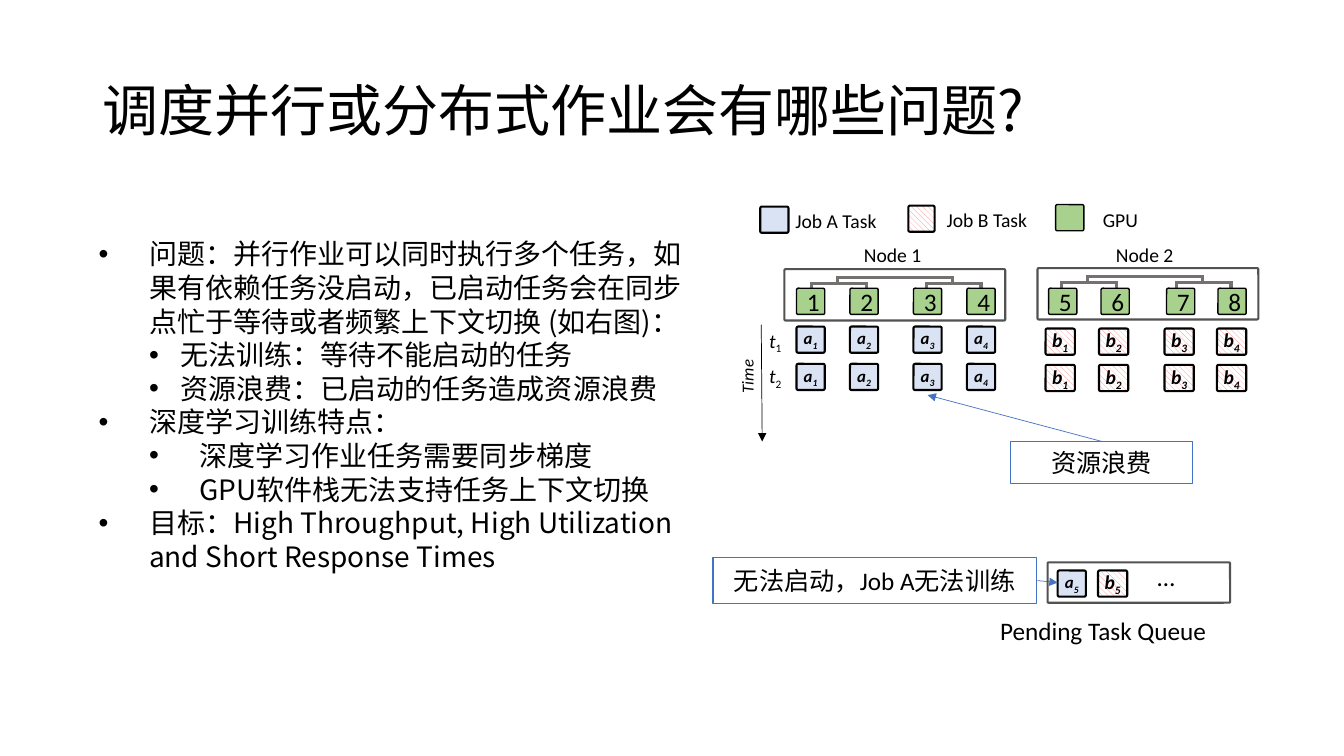
"""Build a slide on the problems of scheduling parallel or distributed jobs."""
from pptx import Presentation
from pptx import util as u
from pptx.dml.color import RGBColor
from pptx.enum import dml, shapes, text
from pptx.oxml import ns
from lxml import etree

PX = 9144
THEME = {
    "ink": "000000", "paper": "FFFFFF", "frame": "525252", "tree": "767171",
    "accent": "4472C4", "job_a": "DAE3F3", "job_b": "FF8181", "gpu": "A9D18E",
    "latin": "Calibri", "cjk": "Noto Sans CJK SC",
    "title": 40, "body": 20, "note": 18, "label": 14, "small": 12,
}
ROUND = shapes.MSO_SHAPE.ROUNDED_RECTANGLE
RECT = shapes.MSO_SHAPE.RECTANGLE

deck = Presentation()
deck.slide_width, deck.slide_height = 1333 * PX, 750 * PX
page = deck.slides.add_slide(deck.slide_layouts[6])


def add_box(place, paras=(), size="label", kind=None, fill=None, line=None, weight=1.5,
            corner=0.063, inset=10, font="latin", bold=False, italic=False, wrap=True):
    """Add a text box, or a preset shape when kind is given; paras hold (text, style) runs."""
    place = [value * PX for value in place]
    if kind is None:
        box = page.shapes.add_textbox(*place)
    else:
        box = page.shapes.add_shape(kind, *place)
        box.shadow.inherit = False
        box.line.color.rgb = RGBColor.from_string(THEME[line])
        box.line.width = u.Pt(weight)
        if kind == ROUND:
            box.adjustments[0] = corner
        if fill is None:
            box.fill.background()
        elif fill == "job_b":
            box.fill.patterned()
            box.fill.pattern = dml.MSO_PATTERN.WIDE_DOWNWARD_DIAGONAL
            box.fill.fore_color.rgb = RGBColor.from_string(THEME["job_b"])
            box.fill.back_color.rgb = RGBColor.from_string(THEME["paper"])
        else:
            box.fill.solid()
            box.fill.fore_color.rgb = RGBColor.from_string(THEME[fill])
    frame = box.text_frame
    frame.word_wrap = wrap
    frame.margin_left = frame.margin_right = inset * PX
    frame.vertical_anchor = text.MSO_ANCHOR.MIDDLE if kind else text.MSO_ANCHOR.TOP
    for index, runs in enumerate(paras):
        para = frame.paragraphs[0] if index == 0 else frame.add_paragraph()
        para.alignment = text.PP_ALIGN.CENTER if kind else text.PP_ALIGN.LEFT
        for words, style in runs:
            span = para.add_run()
            span.text = words
            span.font.size = u.Pt(THEME[size])
            span.font.bold = bold
            span.font.italic = italic and style != "upright_sub"
            span.font.color.rgb = RGBColor.from_string(THEME["ink"])
            span.font.name = THEME[font]
            props = span.font._element
            etree.SubElement(props, ns.qn("a:ea")).set("typeface", THEME["cjk"])
            if style:
                props.set("baseline", "-25000")
    return box


def add_line(start_x, start_y, end_x, end_y, color, weight, arrow=False):
    """Add a straight line, with an arrowhead at its end if asked."""
    wire = page.shapes.add_connector(shapes.MSO_CONNECTOR.STRAIGHT, start_x * PX, start_y * PX,
                                     end_x * PX, end_y * PX)
    wire.line.color.rgb = RGBColor.from_string(THEME[color])
    wire.line.width = u.Pt(weight)
    if arrow:
        etree.SubElement(wire.line._get_or_add_ln(), ns.qn("a:tailEnd")).set("type", "triangle")
    etree.SubElement(wire._element.spPr, ns.qn("a:effectLst"))


title = add_box((92, 40, 1150, 145), [[("调度并行或分布式作业会有哪些问题?", None)]], "title", font="cjk")
title.text_frame.vertical_anchor = text.MSO_ANCHOR.MIDDLE
title.text_frame.paragraphs[0].line_spacing = 0.9

points = [
    ("问题：并行作业可以同时执行多个任务，如果有依赖任务没启动，已启动任务会在同步点忙于等待或者频繁上下文切换 (如右图)：", 0, 50, 50),
    ("无法训练：等待不能启动的任务", 1, 81, 31),
    ("资源浪费：已启动的任务造成资源浪费", 1, 81, 31),
    ("深度学习训练特点：", 0, 50, 50),
    ("深度学习作业任务需要同步梯度", 1, 100, 50),
    ("GPU软件栈无法支持任务上下文切换", 1, 100, 50),
    ("目标：High Throughput, High Utilization and Short Response Times", 0, 50, 50),
]
body = add_box((88, 230, 618, 347), [[(words, None)] for words, *_ in points], "body", font="cjk")
for para, (_, level, left, hang) in zip(body.text_frame.paragraphs, points):
    para.level = level
    para.line_spacing = u.Pt(24)
    props = para._element.get_or_add_pPr()
    props.set("marL", str(left * PX))
    props.set("indent", str(-hang * PX))
    etree.SubElement(props, ns.qn("a:buFont")).set("typeface", "Arial")
    etree.SubElement(props, ns.qn("a:buChar")).set("char", "•")

legend = [
    ("Job A Task", (754, 205, 28, 26), "job_a", 1.5, (779, 202, 203, 34)),
    ("Job B Task", (901, 204, 26, 26), "job_b", 1.5, (929, 201, 118, 34)),
    ("GPU", (1047, 203, 28, 26), "gpu", 1, (1084, 201, 66, 34)),
]
for name, swatch, fill, weight, place in legend:
    add_box(swatch, kind=ROUND, fill=fill, line="ink", weight=weight)
    add_box(place, [[(name, None)]])

nodes = [
    ("Node 1", 847, 778, 267, 0, (790, 843, 906, 959)),
    ("Node 2", 1097, 1029, 266, 248, (1040, 1092, 1157, 1208)),
]
for number, (name, name_x, frame_x, top, shift, columns) in enumerate(nodes):
    add_box((name_x, 236, 78, 34), [[(name, None)]], wrap=False)
    add_box((frame_x, top, 219, 51), kind=ROUND, line="frame", corner=0.025)
    add_line(829 + shift, top + 8, 946 + shift, top + 8, "tree", 2.25)
    for stem, left in ((831, 804), (945, 918)):
        add_line(stem + shift, top + 7, stem + shift, top + 14, "tree", 2.25)
        add_line(left + shift, top + 14, left + 56 + shift, top + 14, "tree", 2.25)
        for leg in (left + 1, left + 55):
            add_line(leg + shift, top + 13, leg + shift, top + 21, "tree", 2.25)
    for slot, column in enumerate(columns, 1):
        add_box((column, 286, 28, 26), [[(str(number * 4 + slot), None)]], "note", ROUND,
                "gpu", "ink", 1)

tasks = [("a", slot, column, row) for row in (324, 361)
         for slot, column in enumerate((790, 843, 906, 959), 1)]
tasks += [("b", slot, column, row) for row in (326, 362)
          for slot, column in enumerate((1037, 1090, 1155, 1207), 1)]
tasks += [("a", 5, 1049, 566), ("b", 5, 1089, 566)]
for job, slot, column, row in tasks:
    wide, size = (28, "small") if job == "a" else (29, "label")
    add_box((column, row, wide, 26), [[(job, None), (str(slot), "sub")]], size, ROUND,
            "job_" + job, "ink", inset=1, bold=True, italic=True)

add_line(755, 322, 756, 438, "ink", 0.5, arrow=True)
time_label = add_box((714, 358, 54, 30), [[("Time", None)]], "small", italic=True)
time_label.rotation = 270
for step, top in (("1", 321), ("2", 356)):
    add_box((753, top, 34, 34), [[("t", None), (step, "upright_sub")]], italic=True, wrap=False)

add_line(1029, 576, 1049, 578, "accent", 0.5, arrow=True)
add_line(1093, 438, 920, 392, "accent", 0.5, arrow=True)
for words, place in (("无法启动，Job A无法训练", (707, 553, 321, 46)), ("资源浪费", (1002, 438, 181, 42))):
    add_box(place, [[(words, None)]], "note", RECT, "paper", "accent", 1)

add_box((1039, 558, 181, 40), kind=ROUND, line="frame", corner=0.025)
add_box((1138, 552, 51, 40), [[("…", None)]], "note")
add_box((982, 606, 282, 40), [[("Pending Task Queue", None)]], "note")

deck.save("out.pptx")
